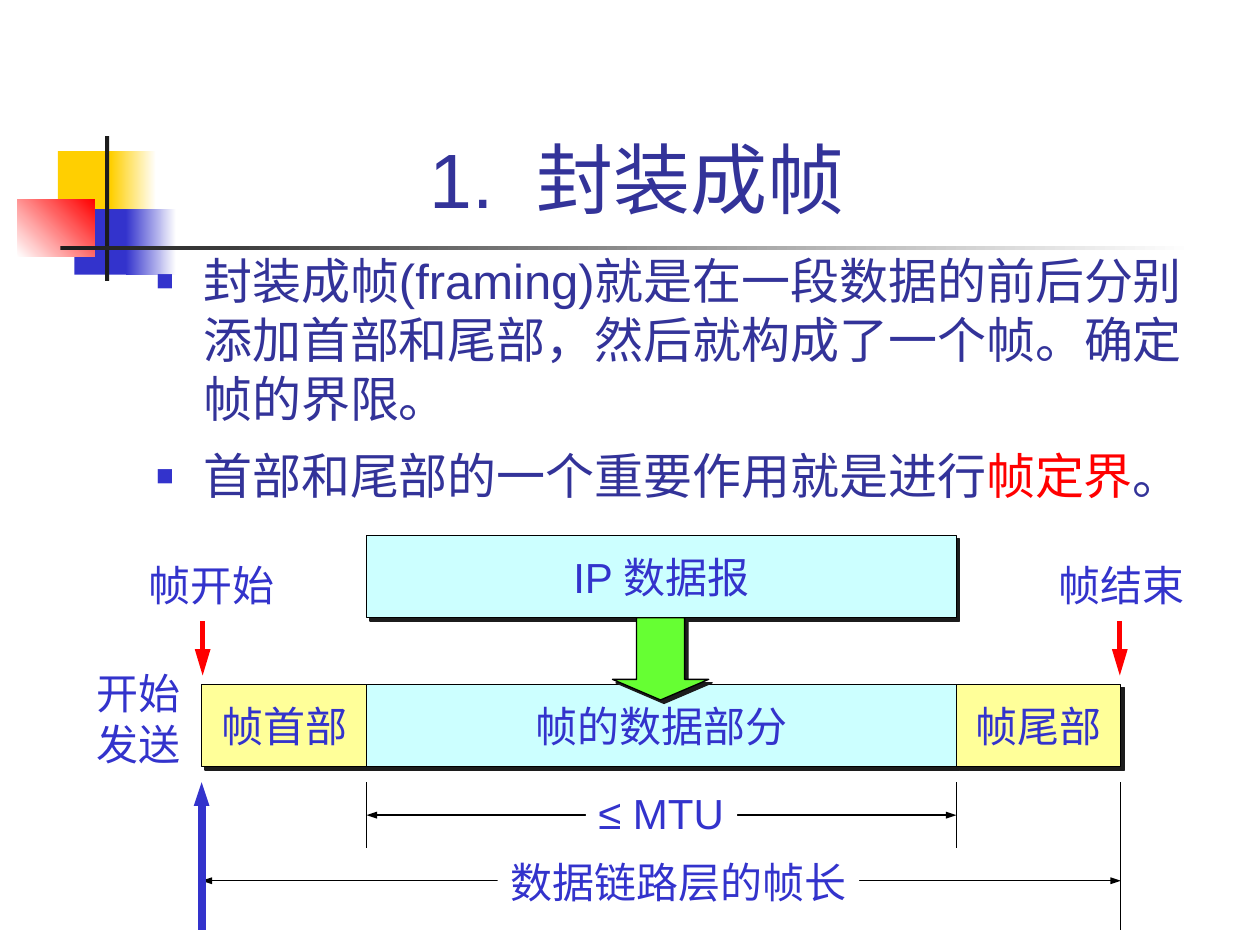
import dataclasses

import lxml.etree
import pptx
import pptx.dml.color
import pptx.enum.shapes
import pptx.enum.text
import pptx.oxml.ns
import pptx.util

Pt = pptx.util.Pt
SHAPE = pptx.enum.shapes.MSO_SHAPE
ALIGN = pptx.enum.text.PP_ALIGN
ANCHOR = pptx.enum.text.MSO_ANCHOR


@dataclasses.dataclass(frozen=True)
class Theme:
    font: str = "Arial"
    title_size: float = 44
    body_size: float = 28
    label_size: float = 24
    heading: str = "333399"
    blue: str = "3333CC"
    red: str = "FF0000"
    gold: str = "FFCF01"
    dark: str = "1C1C1C"
    black: str = "000000"
    white: str = "FFFFFF"
    yellow: str = "FFFF99"
    cyan: str = "CCFFFF"
    green: str = "66FF33"


def rgb(value):
    return pptx.dml.color.RGBColor.from_string(value)


def child(parent, tag, **attributes):
    node = lxml.etree.SubElement(parent, pptx.oxml.ns.qn(tag))
    for name, value in attributes.items():
        node.set(name, str(value))
    return node


def add_span(para, text, *, font, size, color, tracking=0):
    span = para.add_run()
    span.text = text
    span.font.name = font
    span.font.size = Pt(size)
    span.font.color.rgb = rgb(color)
    if tracking:
        span._r.get_or_add_rPr().set("spc", str(tracking * 100))


class Page:
    def __init__(self, slide, theme):
        self.slide = slide
        self.theme = theme

    def block(self, left, top, width, height, fill, kind=SHAPE.RECTANGLE, outlined=False):
        box = self.slide.shapes.add_shape(kind, Pt(left), Pt(top), Pt(width), Pt(height))
        box.shadow.inherit = False
        box.fill.solid()
        box.fill.fore_color.rgb = rgb(fill)
        if not outlined:
            box.line.fill.background()
            return box
        box.line.color.rgb = rgb(self.theme.black)
        box.line.width = Pt(0.75)
        effects = box.element.spPr.find(pptx.oxml.ns.qn("a:effectLst"))
        shadow = child(effects, "a:outerShdw", blurRad=0, dist=int(Pt(2.8)),
                       dir=45 * 60000, algn="ctr", rotWithShape=0)
        child(shadow, "a:srgbClr", val=self.theme.dark)
        return box

    def fade(self, left, top, width, height, start, end, angle=0):
        box = self.block(left, top, width, height, start)
        box.fill.gradient()
        box.fill.gradient_angle = angle
        for stop, color in zip(box.fill.gradient_stops, (start, end)):
            stop.color.rgb = rgb(color)

    def caption(self, box, lines, align, anchor):
        frame = box.text_frame
        frame.word_wrap = False
        frame.vertical_anchor = anchor
        for index, line in enumerate(lines):
            para = frame.add_paragraph() if index else frame.paragraphs[0]
            para.alignment = align
            add_span(para, line, font=self.theme.font,
                     size=self.theme.label_size, color=self.theme.blue)

    def field(self, left, top, width, height, fill, text):
        box = self.block(left, top, width, height, fill, outlined=True)
        self.caption(box, [text], ALIGN.CENTER, ANCHOR.MIDDLE)

    def label(self, left, top, width, height, *lines):
        box = self.block(left, top, width, height, self.theme.white)
        self.caption(box, lines, ALIGN.LEFT, ANCHOR.TOP)

    def line(self, start, end, color, width=0.75, ends=(), head=("sm", "med")):
        connector = self.slide.shapes.add_connector(
            pptx.enum.shapes.MSO_CONNECTOR.STRAIGHT, *map(Pt, start + end))
        connector.line.color.rgb = rgb(color)
        connector.line.width = Pt(width)
        properties = connector.element.spPr
        stroke = properties.find(pptx.oxml.ns.qn("a:ln"))
        for tag in ends:
            child(stroke, tag, type="triangle", w=head[0], len=head[1])
        child(properties, "a:effectLst")

    def text_area(self, left, top, width, height, anchor):
        box = self.slide.shapes.add_textbox(Pt(left), Pt(top), Pt(width), Pt(height))
        box.text_frame.word_wrap = True
        box.text_frame.vertical_anchor = anchor
        return box.text_frame

    def title(self, number, text):
        theme = self.theme
        para = self.text_area(90.72, 16.56, 547.2, 115.2, ANCHOR.BOTTOM).paragraphs[0]
        para.alignment = ALIGN.CENTER
        style = dict(font=theme.font, size=theme.title_size, color=theme.heading)
        add_span(para, number, **style)
        add_span(para, " ", tracking=12, **style)
        add_span(para, text, **style)

    def bullets(self, items):
        theme = self.theme
        frame = self.text_area(82.08, 139.68, 612, 324, ANCHOR.TOP)
        for index, (space, spans) in enumerate(items):
            para = frame.add_paragraph() if index else frame.paragraphs[0]
            para.space_before = Pt(space)
            properties = para._p.get_or_add_pPr()
            properties.set("marL", str(int(Pt(27))))
            properties.set("indent", str(int(Pt(-27))))
            child(child(properties, "a:buClr"), "a:srgbClr", val=theme.blue)
            child(properties, "a:buSzPct", val=60000)
            child(properties, "a:buFont", typeface=theme.font)
            child(properties, "a:buChar", char="■")
            for text, color in spans:
                add_span(para, text, font=theme.font, size=theme.body_size, color=color)


def draw_ornament(page):
    theme = page.theme
    page.block(33.12, 86.4, 34.56, 37.44, theme.gold)
    page.fade(63.36, 86.4, 25.92, 37.44, theme.gold, theme.white)
    page.block(42.48, 119.52, 33.12, 37.44, theme.blue)
    page.fade(72, 119.52, 28.8, 37.44, theme.blue, theme.white)
    page.fade(10.08, 113.76, 43.92, 33.12, theme.white, theme.red, angle=45)
    page.block(60, 77.76, 2.4, 82.8, theme.dark)
    page.fade(34.56, 140.4, 648, 2.4, theme.dark, theme.white)


def draw_frame(page):
    theme = page.theme
    start, data, trailer, end = 115.2, 209.5, 546.5, 640.5
    frame_top, packet_top, height = 391, 306, 47
    tick_top, tick_bottom, bottom = 447, 484.6, 531.4
    both = ("a:headEnd", "a:tailEnd")

    page.label(597.6, 316, 86.4, 36, "帧结束")
    page.field(start, frame_top, data - start, height, theme.yellow, "帧首部")
    page.field(data, packet_top, trailer - data, height, theme.cyan, "IP 数据报")
    page.field(data, frame_top, trailer - data, height, theme.cyan, "帧的数据部分")
    page.field(trailer, frame_top, end - trailer, height, theme.yellow, "帧尾部")

    for left, right, y in ((data, trailer, 465.8), (start, end, 503.3)):
        page.line((left, y), (right, y), theme.black, ends=both)
    page.line((start, tick_top), (start, bottom), theme.blue, 4.5, ends=both[:1])
    for x, y in ((end, bottom), (data, tick_bottom), (trailer, tick_bottom)):
        page.line((x, tick_top), (x, y), theme.black)

    page.label(334.8, 446.4, 86.4, 36, "≤ MTU")
    page.label(284.4, 486, 206.6, 36, "数据链路层的帧长")
    page.block(350, packet_top + height, 55, 47, theme.green, SHAPE.DOWN_ARROW, outlined=True).adjustments[1] = 0.25
    page.label(48.2, 378, 62.6, 64.8, "开始", "发送")
    for x in (start + 0.6, end - 0.6):
        page.line((x, 355), (x, 386), theme.red, 3, ends=both[1:], head=("med", "lg"))
    page.label(77.8, 316, 86.4, 36, "帧开始")


def main():
    deck = pptx.Presentation()
    deck.slide_width, deck.slide_height = Pt(720), Pt(540)
    theme = Theme()
    page = Page(deck.slides.add_slide(deck.slide_layouts[6]), theme)
    draw_ornament(page)
    page.title("1.", "封装成帧")
    page.bullets([
        (5.6, [("封装成帧(framing)就是在一段数据的前后分别添加首部和尾部，"
                "然后就构成了一个帧。确定帧的界限。", theme.heading)]),
        (10.5, [("首部和尾部的一个重要作用就是进行", theme.heading),
                ("帧定界", theme.red), ("。", theme.heading)]),
    ])
    draw_frame(page)
    deck.save("out.pptx")


if __name__ == "__main__":
    main()
